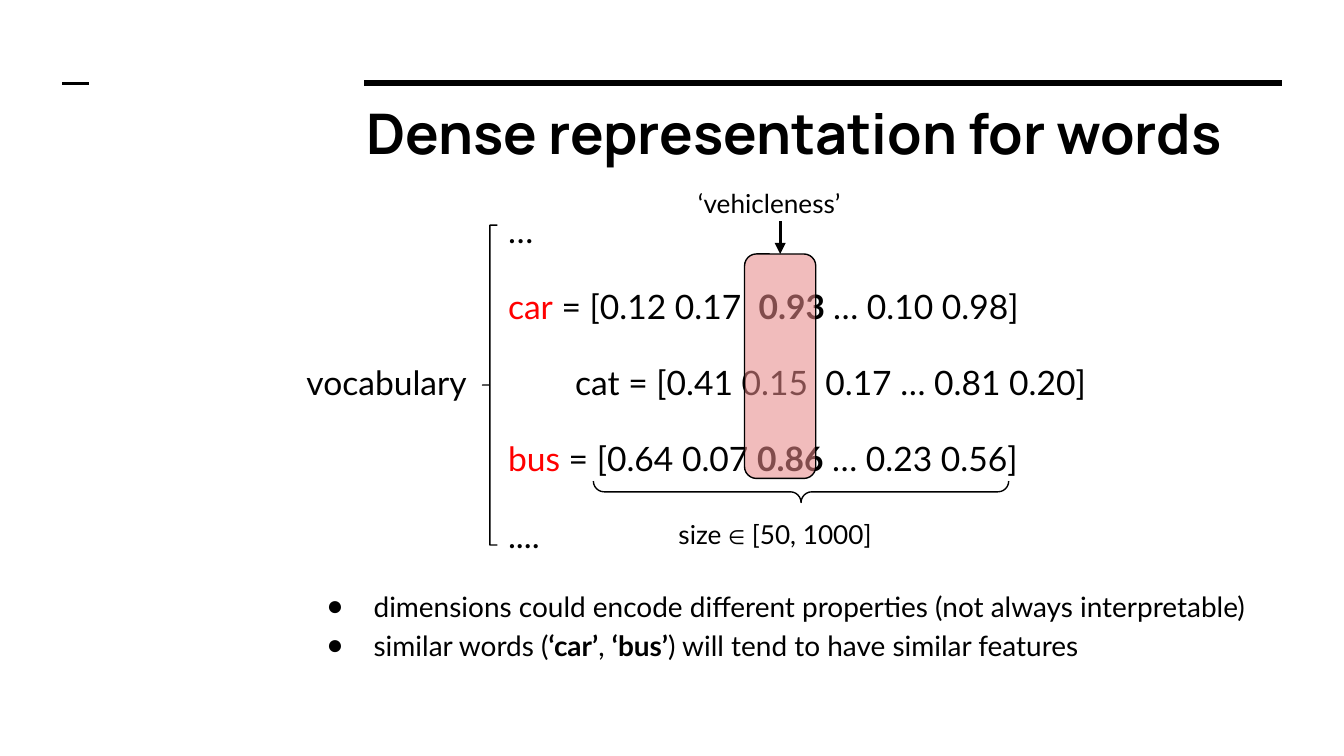
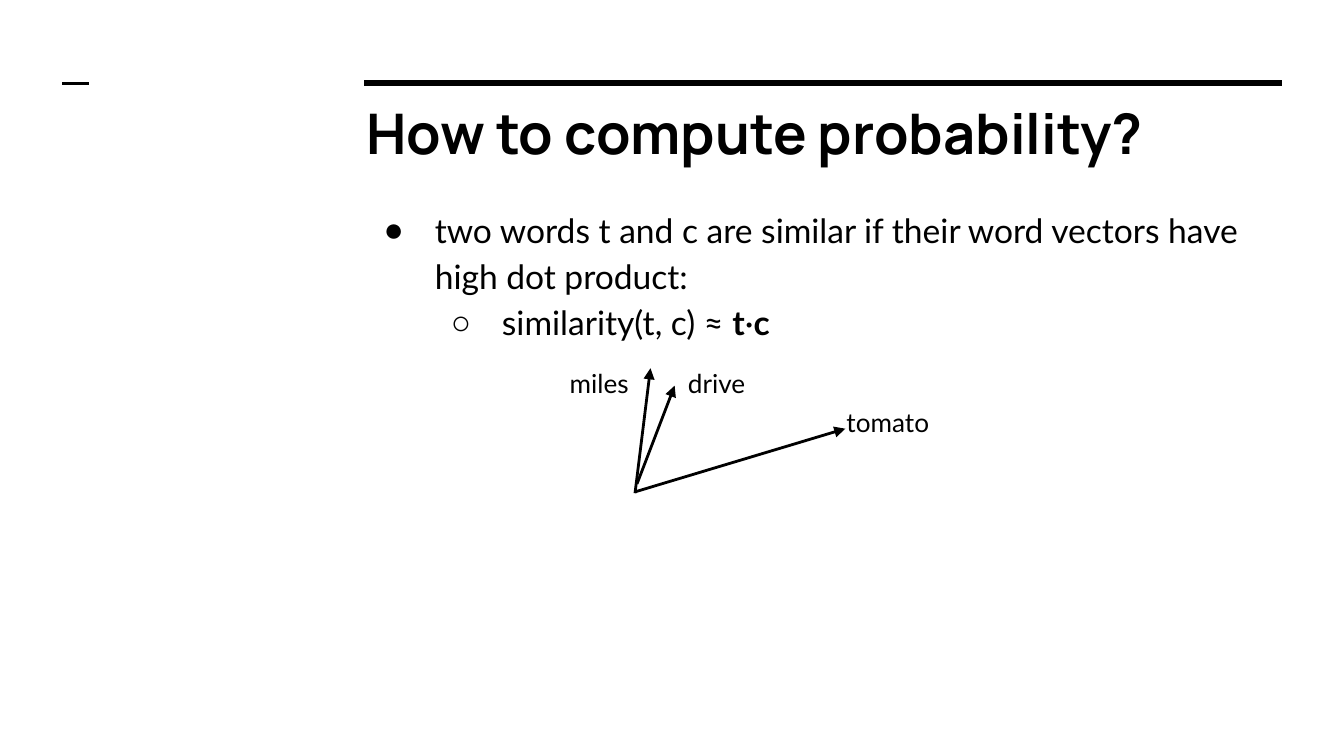
from lxml.etree import SubElement
from pptx import Presentation
from pptx.dml.color import RGBColor
from pptx.enum.shapes import MSO_CONNECTOR as Link, MSO_SHAPE as Shape
from pptx.enum.text import MSO_ANCHOR as Anchor, MSO_AUTO_SIZE as AutoSize, PP_ALIGN as Align
from pptx.oxml.ns import qn
from pptx.util import Pt

PX = 4572
SLIDE_SIZE = (2000, 1125)
INSET = 20
TAB_STEP = 200
BLACK, WHITE, RED, PINK = "000000", "FFFFFF", "FF0000", "E78888"
BODY_FONT, TITLE_FONT, SYMBOL_FONT = "Lato", "Manrope", "DejaVu Sans"
TITLE_BOX = (525, 127, 1382, 138)
RULES = [((542, 124), (1908, 124), 3), ((93, 124), (133, 124), 1.5)]
BOLD = {"bold": True}
KEYWORD = {"color": RED}
WIDE_GAP = (" ", {"tracking": 460})


def px(*lengths):
    return [length * PX for length in lengths]


def rgb(hex_color):
    return RGBColor.from_string(hex_color)


def apply(target, values):
    for name, value in values.items():
        setattr(target, name, value)


def inside(box, left, top, *size):
    return (box[0] + left, box[1] + top, *size)


def style_run(run, size, font, bold=False, color=BLACK, tracking=None):
    apply(run.font, {"size": Pt(size), "name": font, "bold": bold})
    run.font.color.rgb = rgb(color)
    if tracking:
        run._r.get_or_add_rPr().set("spc", str(tracking))


def format_paragraph(paragraph, margin=0, indent=0, bullet=None,
                     level=0, spacing=1.0, before=0):
    props = paragraph._p.get_or_add_pPr()
    for name, length in {"marL": margin, "indent": indent, "defTabSz": TAB_STEP}.items():
        props.set(name, str(length * PX))
    if bullet:
        color = SubElement(props, qn("a:buClr"))
        SubElement(color, qn("a:srgbClr"), val=BLACK)
        SubElement(props, qn("a:buChar"), char=bullet)
    else:
        SubElement(props, qn("a:buNone"))
    apply(paragraph, {"level": level, "alignment": Align.LEFT, "line_spacing": spacing,
                      "space_before": Pt(before), "space_after": Pt(0)})


def write(shape, paragraphs, size, font=BODY_FONT, anchor=Anchor.TOP):
    frame = shape.text_frame
    inset = INSET * PX
    apply(frame, {"word_wrap": True, "auto_size": AutoSize.NONE, "vertical_anchor": anchor,
                  "margin_left": inset, "margin_right": inset,
                  "margin_top": inset, "margin_bottom": inset})
    for index, (layout, runs) in enumerate(paragraphs):
        paragraph = frame.paragraphs[0] if index == 0 else frame.add_paragraph()
        format_paragraph(paragraph, **layout)
        for text, changes in runs:
            run = paragraph.add_run()
            run.text = text
            style_run(run, **{"size": size, "font": font, **changes})


def place(shape, box):
    apply(shape, dict(zip(("left", "top", "width", "height"), px(*box))))


def add_label(slide, box, runs):
    label = slide.shapes.add_textbox(*px(*box))
    write(label, [({}, runs)], 14)
    return label


def add_line(slide, start, end, width=1.5, arrow=False):
    line = slide.shapes.add_connector(Link.STRAIGHT, *px(*start, *end))
    line.line.width = Pt(width)
    line.line.color.rgb = rgb(BLACK)
    if arrow:
        SubElement(line.line._get_or_add_ln(), qn("a:tailEnd"), type="triangle")
    SubElement(line._element.spPr, qn("a:effectLst"))
    return line


def add_outline(slide, kind, box, adjustments, rotation=0):
    shape = slide.shapes.add_shape(kind, *px(*box))
    shape.shadow.inherit = False
    shape.rotation = rotation
    for index, value in enumerate(adjustments):
        shape.adjustments[index] = value
    shape.fill.background()
    shape.line.width = Pt(0.75)
    shape.line.color.rgb = rgb(BLACK)
    return shape


def add_titled_slide(prs, title, body_box, paragraphs):
    slide = prs.slides.add_slide(prs.slide_layouts[1])
    slide.background.fill.solid()
    slide.background.fill.fore_color.rgb = rgb(WHITE)
    for start, end, width in RULES:
        add_line(slide, start, end, width)
    heading, body = slide.shapes.title, slide.placeholders[1]
    place(heading, TITLE_BOX)
    write(heading, [({}, [(title, BOLD)])], 30, TITLE_FONT, Anchor.MIDDLE)
    place(body, body_box)
    write(body, paragraphs, 18)
    return slide


def annotate_vectors(slide, box):
    add_outline(slide, Shape.LEFT_BRACE, inside(box, 282, 52, 22, 476), [0, 0.5])
    add_outline(slide, Shape.RIGHT_BRACE, inside(box, 740, 140, 32, 618), [0.5, 0.5], 90)
    add_label(slide, inside(box, 554, 469, 526, 76),
              [("size ", {}), ("∈", {"size": 10.5, "font": SYMBOL_FONT}), (" [50, 1000]", {})])
    feature = add_outline(slide, Shape.ROUNDED_RECTANGLE,
                          inside(box, 672, 95, 106, 334), [0.167])
    feature.fill.solid()
    feature.fill.fore_color.rgb = rgb(PINK)
    tint = feature._element.spPr.find(qn("a:solidFill"))[0]
    SubElement(tint, qn("a:alpha"), val="56000")
    vehicleness = add_label(slide, inside(box, 583, -24, 284, 70), [("‘vehicleness’", {})])
    pointer = add_line(slide, inside(box, 725, 46), inside(box, 725, 95), arrow=True)
    pointer.begin_connect(vehicleness, 2)
    pointer.end_connect(feature, 0)


def draw_similarity(slide, box):
    for tail, tip in [((117, 208), (140, 22)), ((120, 194), (176, 48)),
                      ((117, 206), (430, 112))]:
        add_line(slide, inside(box, *tail), inside(box, *tip), arrow=True)
    for word, left, top, width in [("miles", 0, 1, 140), ("drive", 176, 1, 140),
                                   ("tomato", 412, 59, 172)]:
        add_label(slide, inside(box, left, top, width, 78), [(word, {})])


def dense_slide(prs):
    box = (436, 283, 1474, 582)
    first = {"margin": 200, "indent": 100, "spacing": 1.15}
    row = {**first, "before": 16}
    cat_row = {"spacing": 1.15, "before": 16}
    point = {"margin": 100, "indent": -70, "bullet": "●", "spacing": 1.15}
    small, strong = {"size": 15}, {"size": 15, **BOLD}
    slide = add_titled_slide(prs, "Dense representation for words", box, [
        (first, [("…", {})]),
        (row, [("car", KEYWORD), (" = [0.12 0.17", {}), WIDE_GAP,
               ("0.93 ", BOLD), ("… 0.10 0.98]", {})]),
        (cat_row, [("vocabulary\tcat = [0.41 0.15", {}), WIDE_GAP,
                   ("0.17 … 0.81 0.20]", {})]),
        (row, [("bus", KEYWORD), (" = [0.64 0.07 ", {}), ("0.86", BOLD),
               (" … 0.23 0.56]", {})]),
        (row, [("....", {})]),
        ({**point, "before": 16},
         [("dimensions could encode different properties (not always interpretable)", small)]),
        (point, [("similar words (", small), ("‘car’", strong), (", ", small),
                 ("‘bus’", strong), (") will tend to have similar features", small)]),
    ])
    annotate_vectors(slide, box)


def probability_slide(prs):
    point = {"margin": 100, "indent": -76, "bullet": "●", "spacing": 1.15}
    subpoint = {**point, "margin": 200, "bullet": "○", "level": 1}
    slide = add_titled_slide(prs, "How to compute probability?", (527, 283, 1382, 714), [
        (point, [("two words t and c are similar if their word vectors have "
                  "high dot product:", {})]),
        (subpoint, [("similarity(t, c) ≈ ", {}), ("t", BOLD), ("·", {}), ("c", BOLD)]),
    ])
    draw_similarity(slide, (828, 526, 584, 208))


def main():
    prs = Presentation()
    prs.slide_width, prs.slide_height = px(*SLIDE_SIZE)
    dense_slide(prs)
    probability_slide(prs)
    prs.save("out.pptx")


if __name__ == "__main__":
    main()
